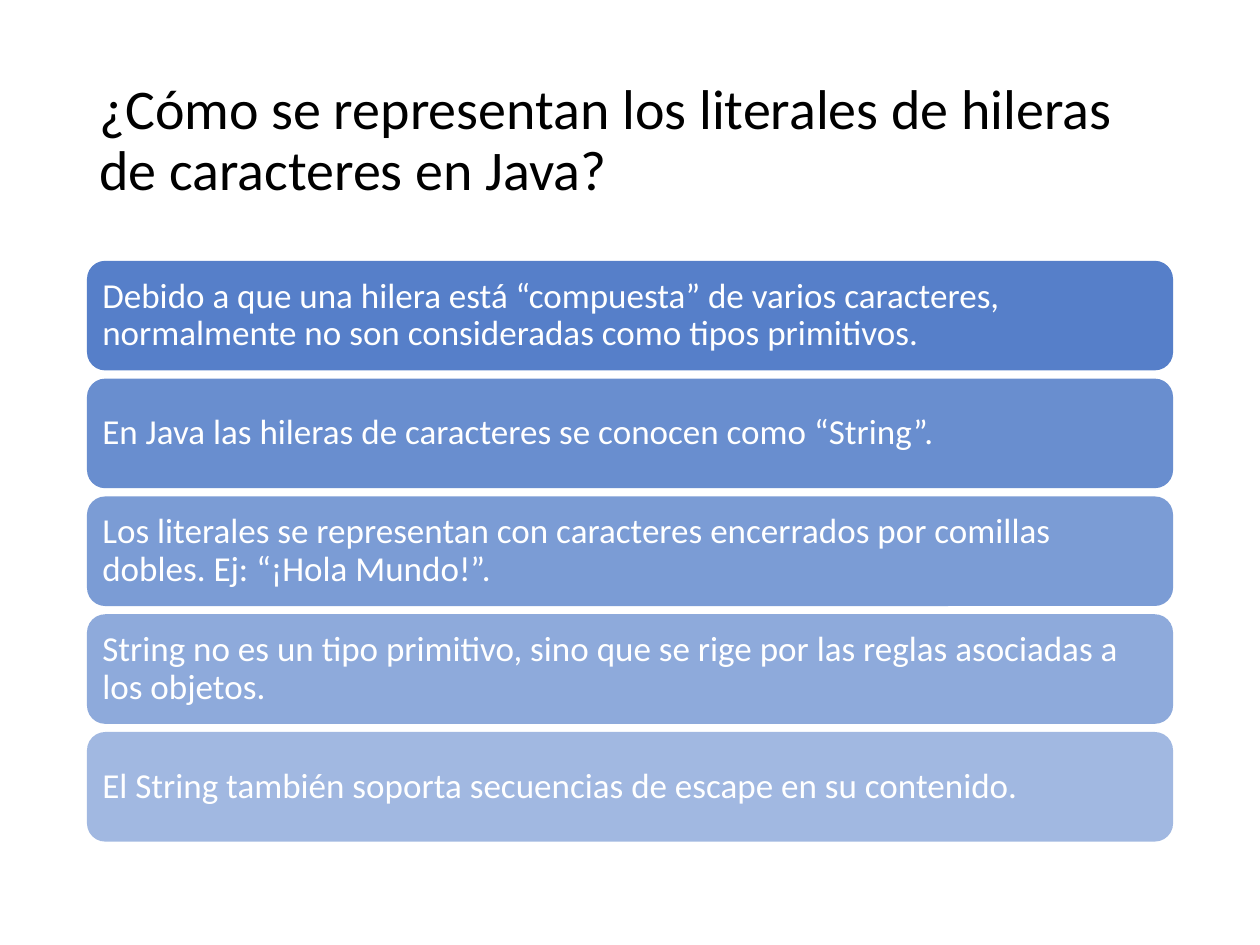
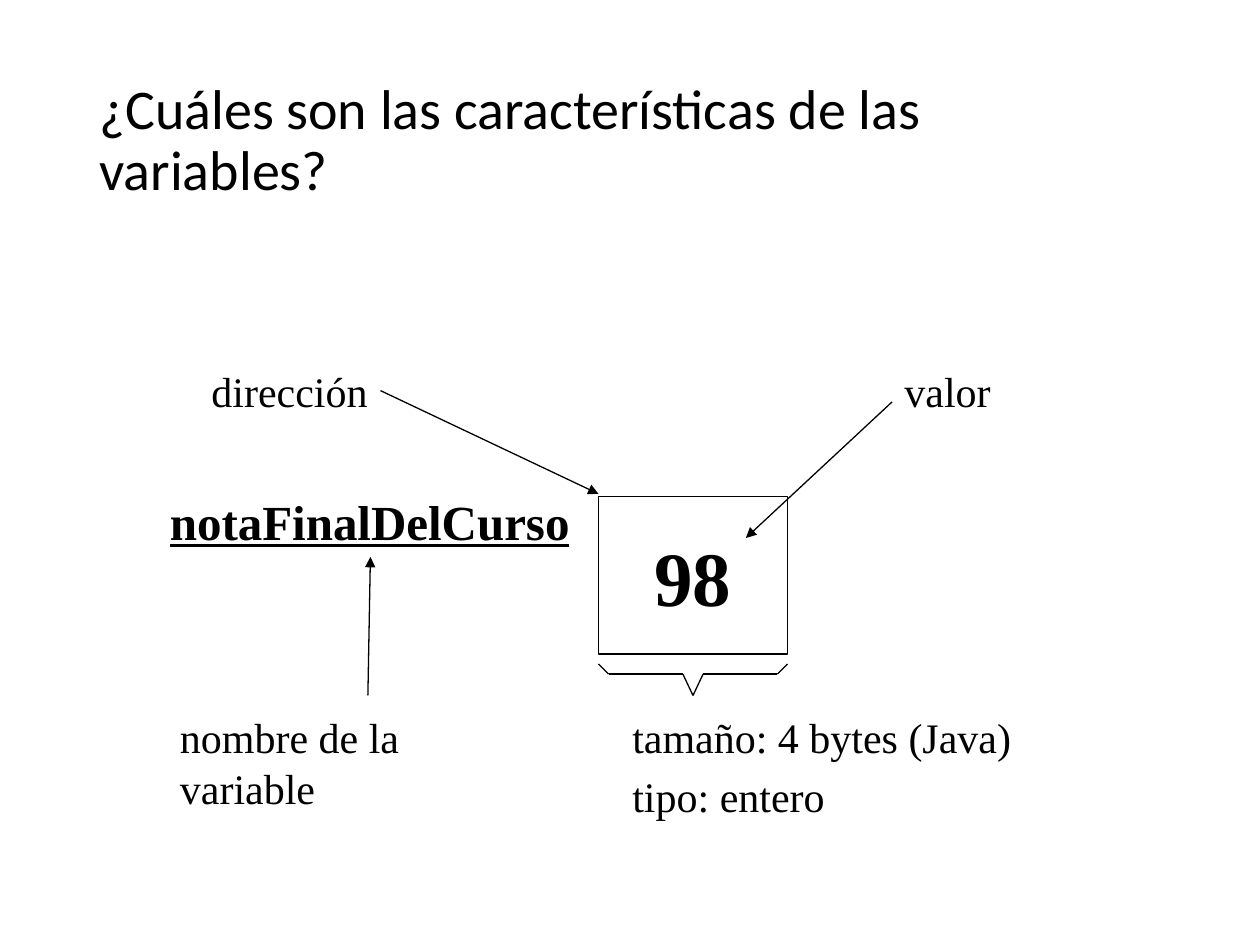
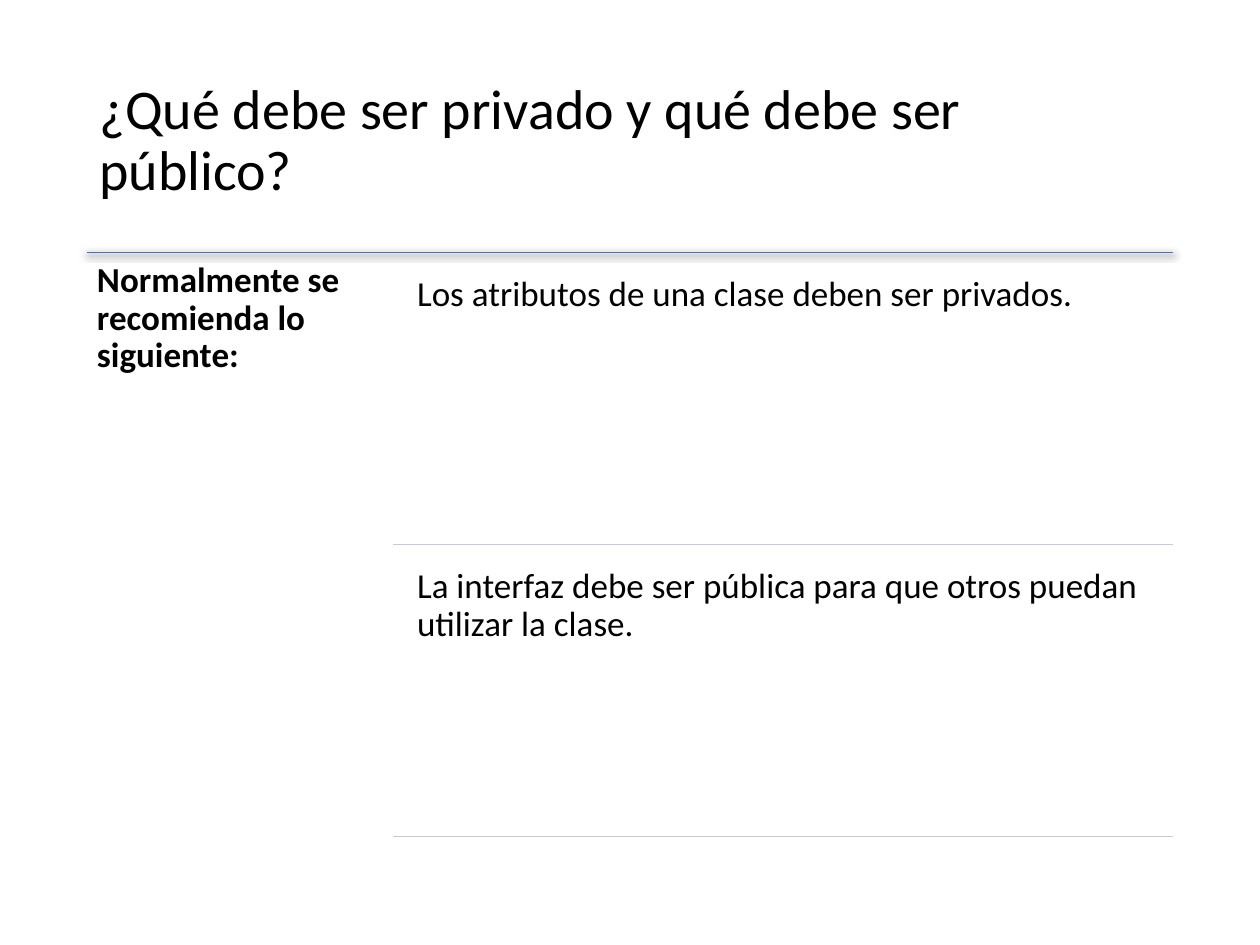
"""Builds three slides about strings, variables and visibility in Java."""
import dataclasses
import itertools

import pptx
import pptx.dml.color
import pptx.enum.shapes
import pptx.enum.text
import pptx.oxml
import pptx.oxml.ns
import pptx.util

Inches = pptx.util.Inches
Pt = pptx.util.Pt
RGB = pptx.dml.color.RGBColor.from_string
SHAPE = pptx.enum.shapes.MSO_SHAPE
ANCHOR = pptx.enum.text.MSO_ANCHOR
ALIGN = pptx.enum.text.PP_ALIGN


@dataclasses.dataclass(frozen=True)
class Theme:
    ink: str = "000000"
    paper: str = "FFFFFF"
    accent: str = "4472C4"
    rule: str = "C1C9E4"
    sans: str = "Calibri"
    serif: str = "Times New Roman"
    title: int = 32
    body: int = 20
    label: int = 24
    name: int = 28
    value: int = 44
    thin: float = 0.5
    line: float = 0.75
    left: float = 0.69
    width: float = 8.62
    inset: float = 0.08


class Deck:
    def __init__(self, theme):
        self.theme = theme
        self.prs = pptx.Presentation()
        self.prs.slide_width, self.prs.slide_height = Inches(10), Inches(7.5)

    def slide(self, title):
        self.s = self.prs.slides.add_slide(self.prs.slide_layouts[6])
        t = self.theme
        self.text(title, (t.left, 0.4, t.width, 1.45), {"size": t.title},
                  {"line_spacing": 0.9}, {"vertical_anchor": ANCHOR.MIDDLE})

    def fill_text(self, sp, text, font, para, frame):
        t = self.theme
        tf = sp.text_frame
        for key, value in {"word_wrap": True, **frame}.items():
            setattr(tf, key, value)
        for i, line in enumerate(text.split("\n")):
            p = tf.paragraphs[0] if i == 0 else tf.add_paragraph()
            for key, value in {"alignment": ALIGN.LEFT, **para}.items():
                setattr(p, key, value)
            r = p.add_run()
            r.text = line
            style = {"name": t.sans, "color": t.ink, **font}
            r.font.color.rgb = RGB(style.pop("color"))
            style["size"] = Pt(style["size"])
            for key, value in style.items():
                setattr(r.font, key, value)

    def text(self, text, box, font, para, frame):
        sp = self.s.shapes.add_textbox(*map(Inches, box))
        self.fill_text(sp, text, font, para, frame)
        return sp

    def shape(self, kind, box, fill=None, alpha=100, line=None):
        sp = self.s.shapes.add_shape(kind, *map(Inches, box))
        sp.shadow.inherit = False
        if fill:
            sp.fill.solid()
            sp.fill.fore_color.rgb = RGB(fill)
            color = sp.element.spPr.xpath("./a:solidFill/a:srgbClr")[0]
            color.append(self.xml("a:alpha", f'val="{alpha * 1000}"'))
        else:
            sp.fill.background()
        if line:
            sp.line.color.rgb, sp.line.width = RGB(line), Pt(self.theme.line)
        else:
            sp.line.fill.background()
        return sp

    def xml(self, tag, attrs="", inner=""):
        return pptx.oxml.parse_xml(
            f"<{tag} {pptx.oxml.ns.nsdecls('a')} {attrs}>{inner}</{tag}>")

    def line(self, start, end, color, width, arrow=False, shadow=False):
        cn = self.s.shapes.add_connector(pptx.enum.shapes.MSO_CONNECTOR.STRAIGHT,
                                         *map(Inches, (*start, *end)))
        cn.line.color.rgb, cn.line.width = RGB(color), Pt(width)
        if arrow:
            cn.get_or_add_ln().append(self.xml("a:tailEnd", 'type="triangle"'))
        effects = self.xml("a:effectLst")
        if shadow:
            effects.append(self.xml(
                "a:outerShdw",
                f'blurRad="{Pt(4.5)}" dist="{Pt(1.5)}" dir="5400000" rotWithShape="0"',
                f'<a:srgbClr val="{self.theme.ink}"><a:alpha val="63000"/></a:srgbClr>'))
        cn.element.spPr.append(effects)
        return cn

    def body(self, text, box=None, sp=None, **font):
        t = self.theme
        sides = ("left", "top", "right", "bottom")
        frame = {f"margin_{side}": Inches(t.inset) for side in sides}
        frame["vertical_anchor"] = ANCHOR.MIDDLE if sp else ANCHOR.TOP
        sp = sp or self.s.shapes.add_textbox(*map(Inches, box))
        self.fill_text(sp, text, {"size": t.body, **font}, {"line_spacing": 0.9}, frame)

    def bar(self, text, box, alpha):
        t = self.theme
        sp = self.shape(SHAPE.ROUNDED_RECTANGLE, box, t.accent, alpha)
        self.body(text, sp=sp, color=t.paper)

    def label(self, text, box, size=None, **font):
        size = size or self.theme.label
        return self.text(text, box, {"size": size, "name": self.theme.serif, **font},
                         {"space_before": Pt(size * 0.2)}, {"word_wrap": False})

    def cell(self, text, box):
        t = self.theme
        sp = self.shape(SHAPE.RECTANGLE, box, line=t.ink)
        self.fill_text(sp, text, {"size": t.value, "name": t.serif, "bold": True},
                       {"alignment": ALIGN.CENTER, "space_before": Pt(t.value * 0.2)},
                       {"word_wrap": False, "vertical_anchor": ANCHOR.MIDDLE})

    def arrow(self, start, end):
        return self.line(start, end, self.theme.ink, self.theme.line, arrow=True)


def strings_slide(deck):
    t = deck.theme
    deck.slide("¿Cómo se representan los literales de hileras de caracteres en Java?")
    facts = (
        "Debido a que una hilera está “compuesta” de varios caracteres, "
        "normalmente no son consideradas como tipos primitivos.",
        "En Java las hileras de caracteres se conocen como “String”.",
        "Los literales se representan con caracteres encerrados por comillas "
        "dobles. Ej: “¡Hola Mundo!”.",
        "String no es un tipo primitivo, sino que se rige por las reglas "
        "asociadas a los objetos.",
        "El String también soporta secuencias de escape en su contenido.",
    )
    top, height, bottom = 2.07, 0.87, 6.68
    pitch = (bottom - height - top) / (len(facts) - 1)
    for i, fact in enumerate(facts):
        deck.bar(fact, (t.left, top + i * pitch, t.width, height), 90 - 10 * i)


def variables_slide(deck):
    t = deck.theme
    deck.slide("¿Cuáles son las características de las variables?")
    deck.cell("98", (4.75, 3.94, 1.5, 1.25))
    name = deck.label("notaFinalDelCurso", (1.25, 3.85, 3.38, 0.57), t.name,
                      bold=True, underline=True)
    address = deck.label("dirección", (1.58, 2.85, 1.44, 0.5))
    deck.label("valor", (7.08, 2.85, 0.89, 0.5))
    deck.label("nombre de la variable", (1.33, 5.6, 3.09, 0.5))
    deck.label("tamaño: 4 bytes (Java)\ntipo: entero", (4.92, 5.6, 3.21, 0.98))
    deck.arrow((3.02, 3.1), (4.75, 3.92)).begin_connect(address, 3)
    deck.arrow((7.08, 3.19), (5.92, 4.27))
    deck.arrow((2.92, 5.52), (2.94, 4.42)).end_connect(name, 2)
    brace = ((4.75, 5.27), (4.83, 5.35), (5.42, 5.35), (5.5, 5.52),
             (5.58, 5.35), (6.17, 5.35), (6.25, 5.27))
    for start, end in itertools.pairwise(brace):
        deck.line(start, end, t.ink, t.line)


def visibility_slide(deck):
    t = deck.theme
    right = t.left + t.width
    deck.slide("¿Qué debe ser privado y qué debe ser público?")
    deck.line((t.left, 2), (right, 2), t.accent, t.thin, shadow=True)
    deck.body("Normalmente se recomienda lo siguiente:", (t.left, 2, 2.43, 4.76), bold=True)
    advice = ("Los atributos de una clase deben ser privados.",
              "La interfaz debe ser pública para que otros puedan utilizar la clase.")
    height, gap = 2.21, 0.11
    for i, text in enumerate(advice):
        top = 2 + gap + i * (height + gap)
        deck.body(text, (3.23, top, 6.08, height))
        deck.line((3.12, top + height), (right, top + height), t.rule, t.thin)


def main():
    deck = Deck(Theme())
    strings_slide(deck)
    variables_slide(deck)
    visibility_slide(deck)
    deck.prs.save("out.pptx")


if __name__ == "__main__":
    main()
